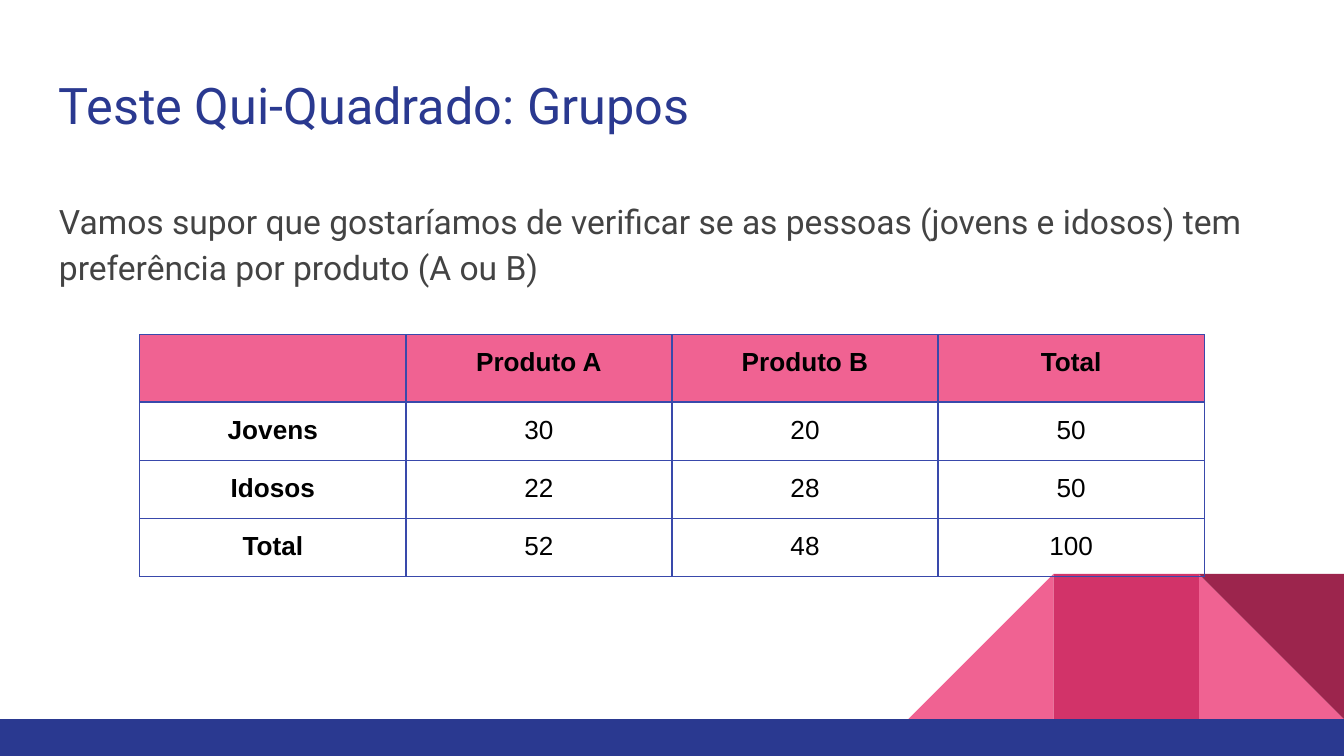
from lxml import etree
from pptx import Presentation
from pptx.dml.color import RGBColor
from pptx.enum import shapes, text
from pptx.oxml import ns
from pptx.util import Inches, Pt

PINK = RGBColor(0xF0, 0x62, 0x92)
DEEP_PINK = RGBColor(0xD2, 0x33, 0x69)
WINE = RGBColor(0x9C, 0x25, 0x4D)
NAVY = RGBColor(0x2A, 0x39, 0x90)
BORDER = RGBColor(0x39, 0x49, 0xAB)
GRAY = RGBColor(0x43, 0x43, 0x43)
BLACK = RGBColor(0, 0, 0)

ROWS = [
    ["", "Produto A", "Produto B", "Total"],
    ["Jovens", "30", "20", "50"],
    ["Idosos", "22", "28", "50"],
    ["Total", "52", "48", "100"],
]


def add_block(slide, kind, left, top, width, height, color):
    """Add a plain filled shape without outline."""
    shape = slide.shapes.add_shape(
        kind, Inches(left), Inches(top), Inches(width), Inches(height))
    shape.shadow.inherit = False
    shape.fill.solid()
    shape.fill.fore_color.rgb = color
    shape.line.fill.background()
    return shape


def add_decoration(slide, left, top, side):
    """Draw the row of corner triangles and the square, then the bottom bar."""
    triangle = shapes.MSO_SHAPE.RIGHT_TRIANGLE
    middle, right = left + side, left + 2 * side
    add_block(slide, triangle, right, top, side, side, PINK)
    slope = add_block(slide, triangle, left, top, side, side, PINK)
    slope.element.spPr.get_or_add_xfrm().set("flipH", "1")
    add_block(slide, shapes.MSO_SHAPE.RECTANGLE, middle, top, side, side, DEEP_PINK)
    add_block(slide, triangle, right, top, side, side, WINE).rotation = 180
    add_block(slide, shapes.MSO_SHAPE.RECTANGLE, 0, top + side, 10, 0.28, NAVY)


def add_text(slide, left, top, width, height, words, size, color,
             spacing=1.0, anchor=text.MSO_ANCHOR.TOP):
    """Add one wrapped paragraph in a box with even margins."""
    box = slide.shapes.add_textbox(
        Inches(left), Inches(top), Inches(width), Inches(height))
    frame = box.text_frame
    frame.word_wrap = True
    frame.vertical_anchor = anchor
    frame.margin_left = frame.margin_right = Inches(0.1)
    frame.margin_top = frame.margin_bottom = Inches(0.1)
    paragraph = frame.paragraphs[0]
    paragraph.text = words
    paragraph.line_spacing = spacing
    paragraph.font.name = "Roboto"
    paragraph.font.size = Pt(size)
    paragraph.font.color.rgb = color


def add_borders(cell):
    """Draw a thin solid line on each side of a cell."""
    properties = cell._tc.get_or_add_tcPr()
    for index, side in enumerate(("a:lnL", "a:lnR", "a:lnT", "a:lnB")):
        line = etree.Element(ns.qn(side), w=str(Pt(0.75)))
        fill = etree.SubElement(line, ns.qn("a:solidFill"))
        etree.SubElement(fill, ns.qn("a:srgbClr"), val=str(BORDER))
        properties.insert(index, line)


def style_cell(cell, words, is_header, is_bold):
    """Fill a cell and set its text."""
    if is_header:
        cell.fill.solid()
        cell.fill.fore_color.rgb = PINK
    else:
        cell.fill.background()
    add_borders(cell)
    cell.margin_left = cell.margin_right = Inches(0.1)
    cell.margin_top = cell.margin_bottom = Inches(0.1)
    if not words:
        return
    paragraph = cell.text_frame.paragraphs[0]
    paragraph.text = words
    paragraph.alignment = text.PP_ALIGN.CENTER
    paragraph.font.name = "Arial"
    paragraph.font.size = Pt(14)
    paragraph.font.bold = is_bold
    paragraph.font.color.rgb = BLACK


def add_counts_table(slide, left, top, side, column_width, row_height):
    """Add the table of counts by age group and product."""
    frame = slide.shapes.add_table(
        len(ROWS), len(ROWS[0]), Inches(left), Inches(top),
        Inches(side), Inches(side))
    table = frame.table
    table.horz_banding = False
    for column in table.columns:
        column.width = Inches(column_width)
    for r, row in enumerate(ROWS):
        table.rows[r].height = Inches(row_height)
        for c, words in enumerate(row):
            style_cell(table.cell(r, c), words, r == 0, r == 0 or c == 0)
    frame.width = frame.height = Inches(side)


def main():
    """Build and save the slide."""
    presentation = Presentation()
    presentation.slide_width = Inches(10)
    presentation.slide_height = Inches(10 * 9 / 16)
    slide = presentation.slides.add_slide(presentation.slide_layouts[6])
    add_decoration(slide, 6.76, 4.27, 1.08)
    add_text(slide, 0.34, 0.45, 9.32, 0.66, "Teste Qui-Quadrado: Grupos",
             27, NAVY, anchor=text.MSO_ANCHOR.MIDDLE)
    add_text(slide, 0.34, 1.35, 9.32, 3.65,
             "Vamos supor que gostaríamos de verificar se as pessoas "
             "(jovens e idosos) tem preferência por produto (A ou B)",
             18, GRAY, spacing=1.15)
    add_counts_table(slide, 1.04, 2.49, 3.28, 1.98, 0.42)
    presentation.save("out.pptx")


if __name__ == "__main__":
    main()
